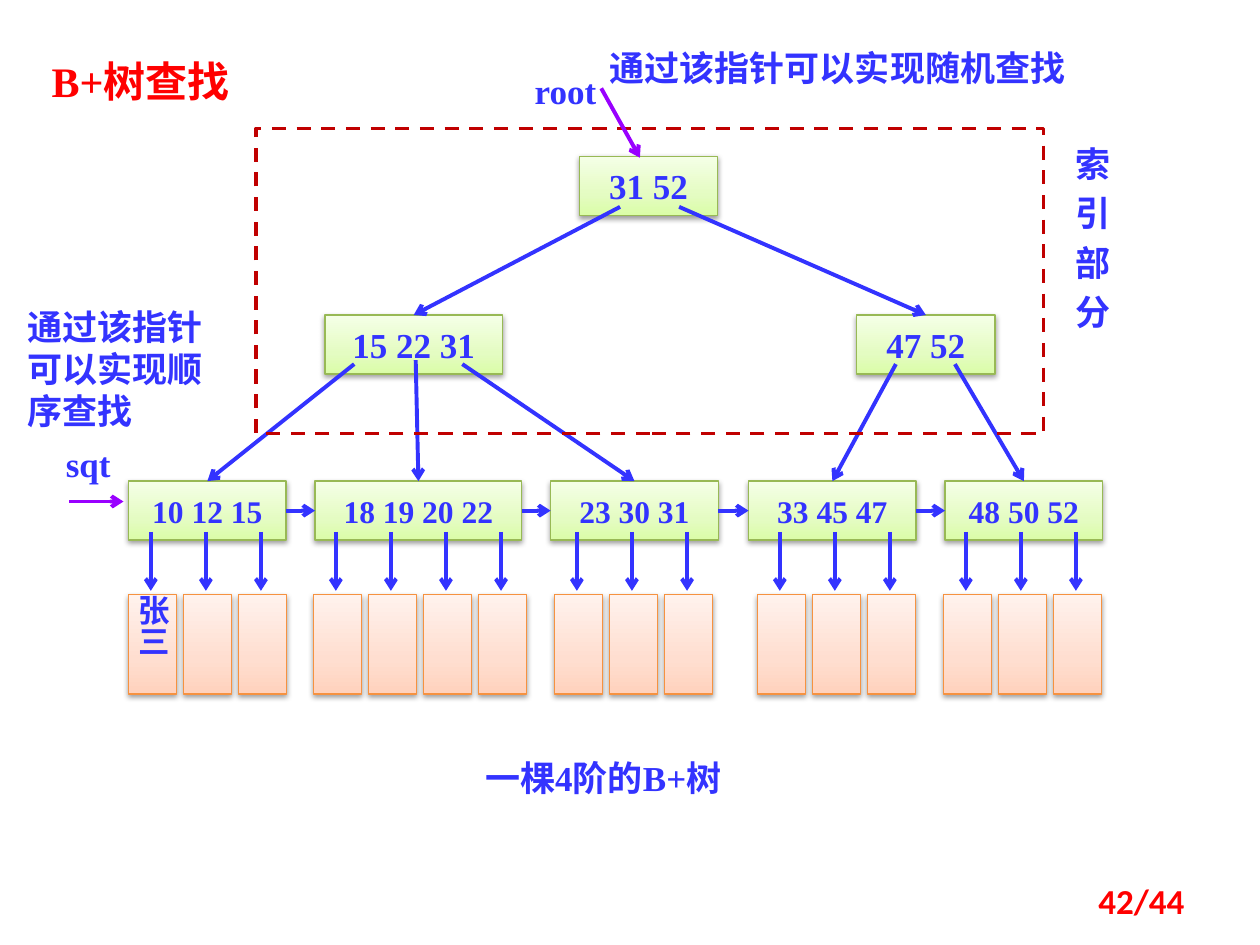
from lxml.etree import SubElement
from pptx import Presentation
from pptx.dml.color import RGBColor
from pptx.enum.dml import MSO_LINE
from pptx.enum.shapes import MSO_CONNECTOR, MSO_SHAPE
from pptx.enum.text import MSO_ANCHOR, PP_ALIGN
from pptx.oxml.ns import qn
from pptx.util import Cm, Pt

BLUE, PURPLE, RED, DARK_RED = "3333FF", "9900FF", "FF0000", "C00000"
GREEN_STOPS = ("DAFDA7", "E4FCC2", "F5FFE7")
ORANGE_STOPS = ("FFD2BD", "FFDED0", "FFF2ED")
TIMES, CJK = "Times New Roman", "Noto Sans CJK SC"
KEY_GAP = " "
NODE_H = 1.19
RECORD_PITCH = 1.11

INDEX_NODES = [
    ((31, 52), 11.68, 3.15, 2.79),
    ((15, 22, 31), 6.55, 6.35, 3.58),
    ((47, 52), 17.27, 6.35, 2.79),
]
LEAVES = [
    ((10, 12, 15), 2.59, 3.18, 2.59),
    ((18, 19, 20, 22), 6.35, 4.17, 6.32),
    ((23, 30, 31), 11.1, 3.38, 11.18),
    ((33, 45, 47), 15.09, 3.38, 15.27),
    ((48, 50, 52), 19.05, 3.18, 19.02),
]
CHILD_POINTERS = [
    (12.5, 4.17), (13.69, 4.17),
    (7.14, 7.34), (8.38, 7.26), (9.32, 7.34), (18.06, 7.34), (19.25, 7.34),
]


def rgb(color):
    return RGBColor.from_string(color)


def style_paragraph(p, size, color, font, align):
    p.alignment = align
    p.font.name = font
    p.font.size = Pt(size)
    p.font.bold = True
    p.font.color.rgb = rgb(color)
    props = p._p.pPr.find(qn("a:defRPr"))
    SubElement(props, qn("a:ea")).set("typeface", CJK)


def add_label(slide, text, x, y, w, h, font=TIMES, size=20, color=BLUE,
              align=PP_ALIGN.LEFT, inset=True):
    tf = slide.shapes.add_textbox(Cm(x), Cm(y), Cm(w), Cm(h)).text_frame
    tf.word_wrap = True
    if not inset:
        tf.margin_left = tf.margin_right = tf.margin_top = tf.margin_bottom = 0
    tf.text = text
    for p in tf.paragraphs:
        style_paragraph(p, size, color, font, align)
    return tf


def fill_gradient(sp, stops):
    sp.fill.gradient()
    sp.fill.gradient_angle = 90
    stop_list = sp._element.spPr.find(qn("a:gradFill")).find(qn("a:gsLst"))
    stop_list.clear()
    for pos, color in zip((0, 35000, 100000), stops):
        stop = SubElement(stop_list, qn("a:gs"), pos=str(pos))
        SubElement(stop, qn("a:srgbClr"), val=color)


def add_soft_shadow(sp):
    sp.shadow.inherit = False
    effects = sp._element.spPr.find(qn("a:effectLst"))
    shadow = SubElement(effects, qn("a:outerShdw"), blurRad="40000",
                        dist="20000", dir="5400000", rotWithShape="0")
    black = SubElement(shadow, qn("a:srgbClr"), val="000000")
    SubElement(black, qn("a:alpha"), val="38000")


def add_box(slide, x, y, w, h, stops, border):
    sp = slide.shapes.add_shape(MSO_SHAPE.RECTANGLE, Cm(x), Cm(y), Cm(w), Cm(h))
    fill_gradient(sp, stops)
    sp.line.color.rgb = rgb(border)
    sp.line.width = Pt(0.75)
    add_soft_shadow(sp)
    return sp


def add_node(slide, keys, x, y, w, size):
    sp = add_box(slide, x, y, w, NODE_H, GREEN_STOPS, "98B955")
    tf = sp.text_frame
    tf.text = KEY_GAP.join(map(str, keys))
    tf.vertical_anchor = MSO_ANCHOR.MIDDLE
    style_paragraph(tf.paragraphs[0], size, BLUE, TIMES, PP_ALIGN.CENTER)
    return sp


def add_arrow(slide, x1, y1, x2, y2, color=BLUE):
    line = slide.shapes.add_connector(
        MSO_CONNECTOR.STRAIGHT, Cm(x1), Cm(y1), Cm(x2), Cm(y2))
    line.line.color.rgb = rgb(color)
    line.line.width = Pt(2.25)
    SubElement(line.line._get_or_add_ln(), qn("a:tailEnd"), type="arrow")
    SubElement(line._element.spPr, qn("a:effectLst"))
    return line


def add_tree(slide):
    index = [add_node(slide, *node, 20) for node in INDEX_NODES]
    leaves = [add_node(slide, keys, x, 9.7, w, 18) for keys, x, w, _ in LEAVES]
    for left, right in zip(leaves, leaves[1:]):
        link = add_arrow(slide, 0, 0, 1, 0)
        link.begin_connect(left, 3)
        link.end_connect(right, 1)
    for (x, y), child in zip(CHILD_POINTERS, index[1:] + leaves):
        add_arrow(slide, x, y, x, y + 1).end_connect(child, 0)


def add_records(slide):
    records = []
    for keys, _, _, start in LEAVES:
        for i in range(len(keys)):
            x = start + i * RECORD_PITCH
            add_arrow(slide, x + 0.45, 10.72, x + 0.45, 11.91)
            records.append(add_box(slide, x, 11.99, 0.97, 2, ORANGE_STOPS, "F69240"))
    tf = records[0].text_frame
    tf.margin_left = tf.margin_right = Cm(0.1)
    tf.margin_top = tf.margin_bottom = 0
    tf.vertical_anchor = MSO_ANCHOR.TOP
    tf._txBody.bodyPr.set("vert", "eaVert")
    tf.text = "张三"
    style_paragraph(tf.paragraphs[0], 18, BLUE, CJK, PP_ALIGN.LEFT)


def add_index_frame(slide):
    sp = slide.shapes.add_shape(
        MSO_SHAPE.RECTANGLE, Cm(5.16), Cm(2.59), Cm(15.88), Cm(6.15))
    sp.fill.background()
    sp.line.color.rgb = rgb(DARK_RED)
    sp.line.width = Pt(2)
    sp.line.dash_style = MSO_LINE.DASH
    sp.shadow.inherit = False
    tf = add_label(slide, "索\n引\n部\n分", 21.44, 2.97, 1.02, 4.11, CJK)
    for i, p in enumerate(tf.paragraphs):
        p.line_spacing = Pt(18)
        p.space_before = Pt(10 if i else 0)


def add_entry_pointers(slide):
    add_arrow(slide, 12.12, 1.78, 12.9, 3.18, PURPLE)
    add_label(slide, "root", 10.31, 1.27, 2.18, 1.12, align=PP_ALIGN.CENTER)
    add_label(slide, "通过该指针可以实现随机查找", 12.29, 0.94, 9.93, 0.86, CJK, inset=False)
    add_arrow(slide, 1.4, 10.11, 2.49, 10.11, PURPLE)
    add_label(slide, "sqt", 0.79, 8.79, 1.98, 1.12, align=PP_ALIGN.CENTER)
    add_label(slide, "通过该指针可以实现顺序查找", 0.56, 6.15, 4.22, 2.57, CJK, inset=False)


def main():
    prs = Presentation()
    prs.slide_width, prs.slide_height = Cm(25.4), Cm(19.05)
    slide = prs.slides.add_slide(prs.slide_layouts[6])
    caption = add_label(slide, "一棵4阶的B+树", 9.53, 14.88, 6.15, 1.37,
                        align=PP_ALIGN.JUSTIFY)
    caption.paragraphs[0].line_spacing = 1.3
    add_tree(slide)
    add_records(slide)
    add_index_frame(slide)
    add_entry_pointers(slide)
    page = add_label(slide, "42/44", 18.21, 17.65, 5.92, 1.02, "Calibri",
                     color=RED, align=PP_ALIGN.RIGHT)
    page.vertical_anchor = MSO_ANCHOR.MIDDLE
    add_label(slide, "B+树查找", 0.79, 0.99, 4.57, 1.27, size=24, color=RED)
    prs.save("out.pptx")


if __name__ == "__main__":
    main()
